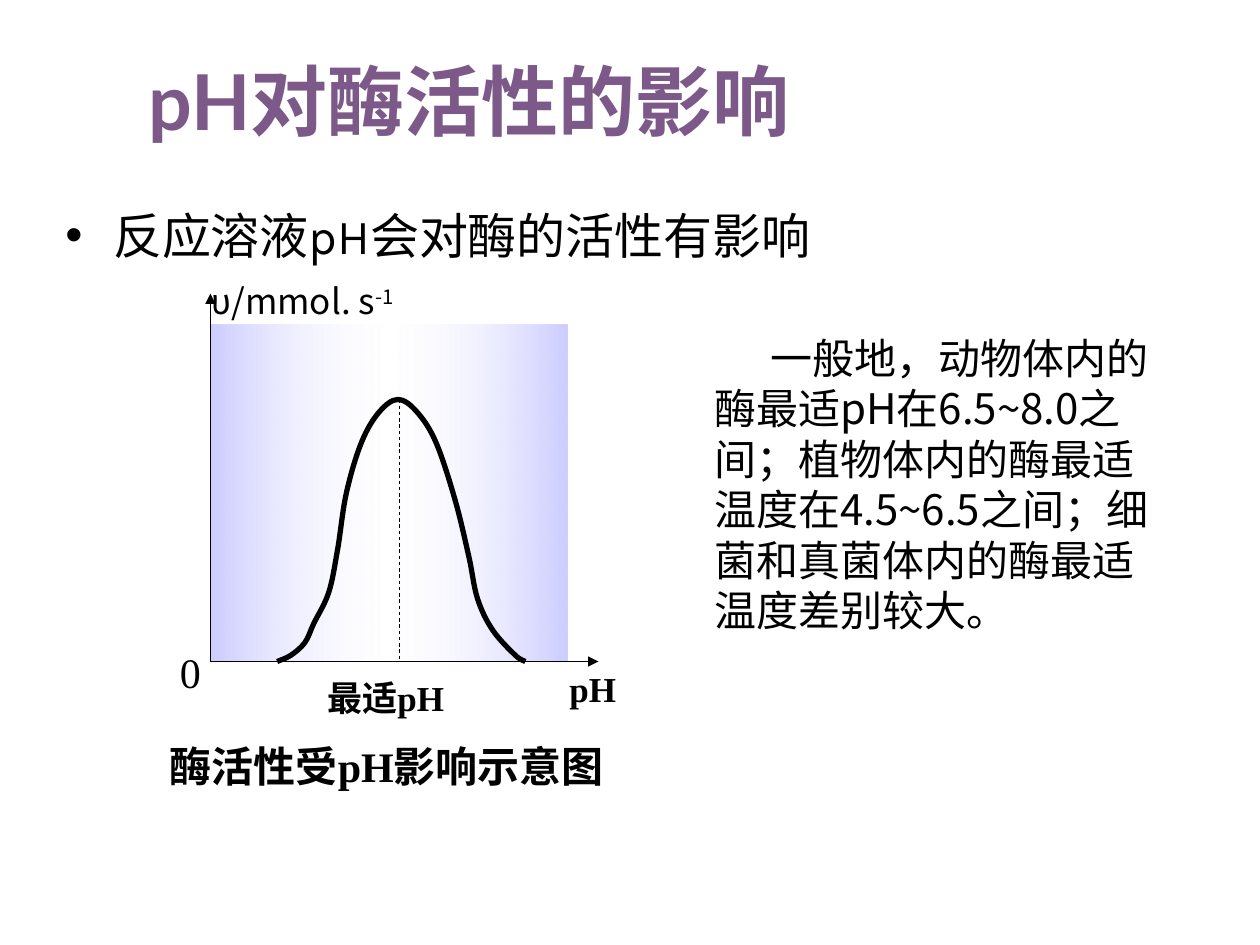
from dataclasses import dataclass

from lxml.etree import SubElement
from pptx import Presentation
from pptx.dml.color import RGBColor
from pptx.enum.dml import MSO_LINE
from pptx.enum.shapes import MSO_CONNECTOR, MSO_SHAPE
from pptx.enum.text import MSO_ANCHOR
from pptx.oxml import parse_xml
from pptx.oxml.ns import nsdecls, qn
from pptx.util import Inches, Pt


@dataclass(frozen=True)
class Theme:
    ink: RGBColor = RGBColor(0x00, 0x00, 0x00)
    title: RGBColor = RGBColor(0x7C, 0x59, 0x89)
    band_edge: str = "CCCCFF"
    band_center: str = "FFFFFF"
    cjk: str = "Noto Sans CJK SC"
    serif: str = "Times New Roman"
    title_font: str = "Lato"
    body_font: str = "Karla"
    title_size: int = 44
    body_size: int = 28
    note_size: int = 24
    label_size: int = 20


THEME = Theme()


@dataclass(frozen=True)
class Label:
    text: str
    left: float
    top: float
    width: float
    height: float
    size: int
    font: str = THEME.serif
    bold: bool = False
    color: RGBColor = THEME.ink
    superscript: str = ""
    first_indent: float = 0
    bullet: bool = False
    anchor: MSO_ANCHOR = MSO_ANCHOR.TOP


@dataclass(frozen=True)
class Segment:
    start: tuple[float, float]
    end: tuple[float, float]
    weight: float
    arrow: bool = False


# Plot geometry in inches
ORIGIN_X, ORIGIN_Y = 1.67, 5.25
CURVE = [
    (2.2, 5.25), (2.31, 5.2), (2.42, 5.1), (2.49, 4.95), (2.61, 4.7),
    (2.68, 4.36), (2.75, 3.91), (2.87, 3.51), (3.01, 3.27), (3.16, 3.17),
    (3.31, 3.27), (3.46, 3.51), (3.61, 3.96), (3.72, 4.41), (3.79, 4.75),
    (3.91, 5.0), (4.09, 5.2), (4.17, 5.25),
]
SEGMENTS = [
    Segment((3.17, 3.17), (3.17, ORIGIN_Y), 0.5),
    Segment((ORIGIN_X, ORIGIN_Y), (4.75, ORIGIN_Y), 0.75, arrow=True),
    Segment((ORIGIN_X, ORIGIN_Y), (ORIGIN_X, 2.33), 0.75, arrow=True),
]
LABELS = [
    Label("υ/mmol. s", 1.58, 2.17, 2, 0.44, THEME.label_size, THEME.cjk, superscript="-1"),
    Label("最适pH", 2.5, 5.32, 1.83, 0.44, THEME.label_size, bold=True),
    Label("0", 1.33, 5.08, 0.42, 0.5, THEME.note_size),
    Label("pH", 4.42, 5.25, 0.67, 0.44, THEME.label_size, bold=True),
    Label("酶活性受pH影响示意图", 1.25, 5.83, 3.92, 0.5, THEME.note_size, bold=True),
    Label("一般地，动物体内的酶最适pH在6.5~8.0之间；植物体内的酶最适温度在4.5~6.5之间；"
          "细菌和真菌体内的酶最适温度差别较大。",
          5.57, 2.59, 3.68, 2.5, THEME.note_size, THEME.cjk, first_indent=0.45),
    Label("pH对酶活性的影响", 1.08, 0.33, 8.75, 0.92, THEME.title_size, THEME.title_font,
          bold=True, color=THEME.title, anchor=MSO_ANCHOR.MIDDLE),
]
BODY = Label("反应溶液pH会对酶的活性有影响", 0.42, 1.58, 8.5, 4.75, THEME.body_size,
             THEME.body_font, bullet=True)


def add_label(s, label: Label) -> None:
    sp = s.shapes.add_textbox(*map(Inches, (label.left, label.top, label.width, label.height)))
    tf = sp.text_frame
    tf.word_wrap = True
    tf.vertical_anchor = label.anchor
    tf.text = label.text
    p = tf.paragraphs[0]
    pPr = p._p.get_or_add_pPr()
    pPr.set("hangingPunct", "0")
    if label.bullet:
        pPr.set("marL", str(Inches(0.38)))
        pPr.set("indent", str(-Inches(0.38)))
        SubElement(pPr, qn("a:buFont")).set("typeface", "Arial")
        SubElement(pPr, qn("a:buChar")).set("char", "•")
    elif label.first_indent:
        pPr.set("indent", str(Inches(label.first_indent)))
    if label.superscript:
        r = p.add_run()
        r.text = label.superscript
        r._r.get_or_add_rPr().set("baseline", "30000")
    for r in p.runs:
        r.font.size = Pt(label.size)
        r.font.bold = label.bold
        r.font.color.rgb = label.color
        r.font.name = label.font
        SubElement(r._r.get_or_add_rPr(), qn("a:ea")).set("typeface", THEME.cjk)


def add_segment(s, segment: Segment) -> None:
    line = s.shapes.add_connector(MSO_CONNECTOR.STRAIGHT,
                                  *map(Inches, segment.start + segment.end))
    line.line.color.rgb = THEME.ink
    line.line.width = Pt(segment.weight)
    if segment.arrow:
        SubElement(line.line._get_or_add_ln(), qn("a:tailEnd")).set("type", "triangle")
    else:
        line.line.dash_style = MSO_LINE.DASH
    SubElement(line._element.spPr, qn("a:effectLst"))


def add_band(s) -> None:
    sp = s.shapes.add_shape(MSO_SHAPE.RECTANGLE, Inches(ORIGIN_X), Inches(2.58),
                            Inches(2.83), Inches(2.67))
    sp.shadow.inherit = False
    sp.line.fill.background()
    edge = f'<a:srgbClr val="{THEME.band_edge}"/>'
    sp._element.spPr.find(qn("a:prstGeom")).addnext(parse_xml(
        f'<a:gradFill {nsdecls("a")} rotWithShape="1"><a:gsLst>'
        f'<a:gs pos="0">{edge}</a:gs>'
        f'<a:gs pos="50000"><a:srgbClr val="{THEME.band_center}">'
        f'<a:alpha val="12000"/></a:srgbClr></a:gs>'
        f'<a:gs pos="100000">{edge}</a:gs>'
        f'</a:gsLst><a:lin ang="0" scaled="1"/></a:gradFill>'))


def round_segments(sp) -> None:
    """Turn the straight segments into Bezier curves with Catmull-Rom tangents."""
    knots = [(int(pt.get("x")), int(pt.get("y"))) for pt in sp._element.iter(qn("a:pt"))]
    padded = [knots[0], *knots, knots[-1]]
    straight = list(sp._element.iter(qn("a:lnTo")))
    for line_to, a, b, c, d in zip(straight, padded, padded[1:], padded[2:], padded[3:]):
        leave = [q + (u - o) / 6 for o, q, u in zip(a, b, c)]
        arrive = [u - (v - q) / 6 for q, u, v in zip(b, c, d)]
        bezier = line_to.makeelement(qn("a:cubicBezTo"))
        for x, y in (leave, arrive, c):
            pt = SubElement(bezier, qn("a:pt"))
            pt.set("x", str(round(x)))
            pt.set("y", str(round(y)))
        line_to.getparent().replace(line_to, bezier)


def add_curve(s) -> None:
    points = [(Inches(x), Inches(y)) for x, y in CURVE]
    builder = s.shapes.build_freeform(*points[0])
    builder.add_line_segments(points[1:], close=False)
    sp = builder.convert_to_shape()
    round_segments(sp)
    sp.shadow.inherit = False
    sp.fill.background()
    sp.line.color.rgb = THEME.ink
    sp.line.width = Pt(3)


def main() -> None:
    prs = Presentation()
    prs.slide_width, prs.slide_height = Inches(10), Inches(7.5)
    s = prs.slides.add_slide(prs.slide_layouts[6])

    # Body statement
    add_label(s, BODY)

    # Activity diagram
    add_band(s)
    add_curve(s)
    for segment in SEGMENTS:
        add_segment(s, segment)

    # Diagram labels, explanation and title
    for label in LABELS:
        add_label(s, label)

    prs.save("out.pptx")


if __name__ == "__main__":
    main()
